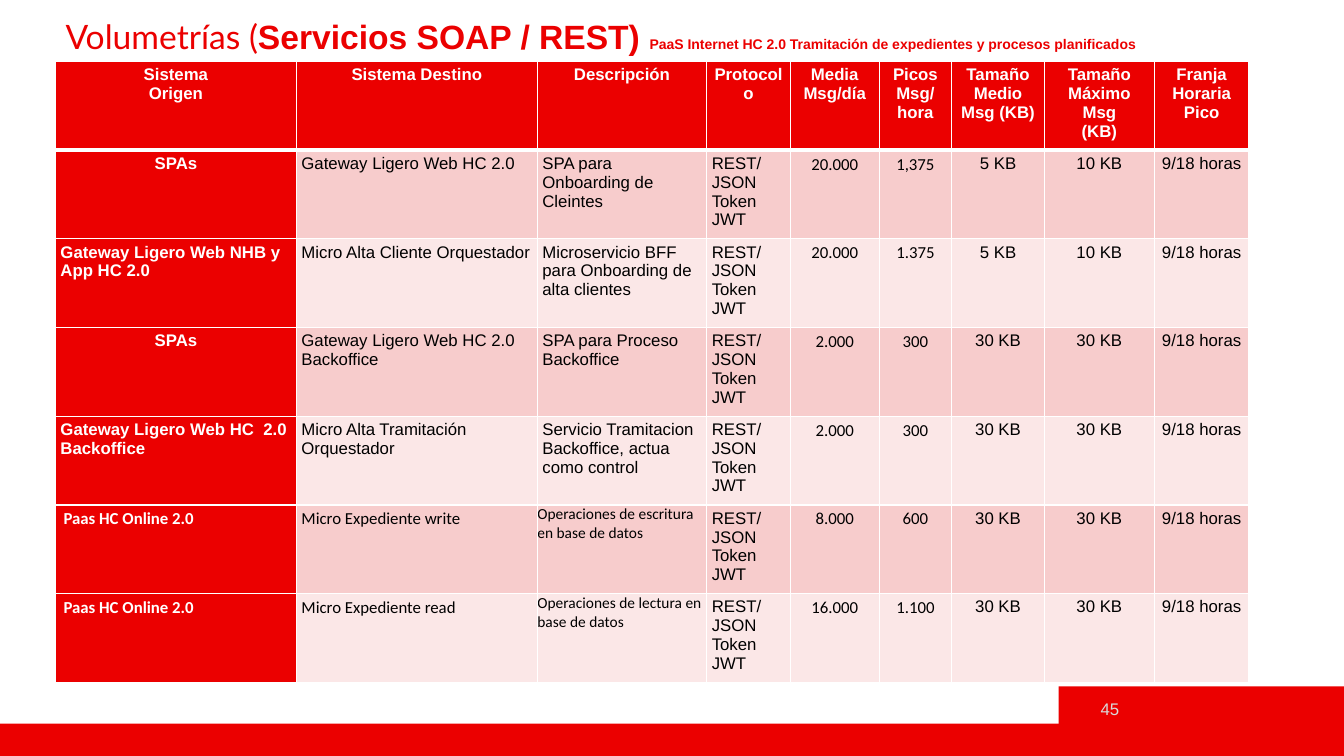
import pptx
import pptx.util
from pptx.dml.color import RGBColor
from pptx.enum.shapes import MSO_SHAPE
from pptx.enum.text import MSO_ANCHOR, MSO_AUTO_SIZE, PP_ALIGN
from pptx.oxml import parse_xml
from pptx.oxml.ns import nsdecls
from pptx.util import Inches

THEME = {
    "red": "EB0000", "white": "FFFFFF", "black": "000000", "grey": "D9D9D9",
    "bands": ("F7CCCC", "FBE7E7"),
    "title": 24, "subtitle": 10, "body": 12, "small": 11,
    "sans": "Arial", "figures": "Calibri", "heading": "Lato",
}


def style(run, size, face, color, bold=False):
    run.font.size = pptx.util.Pt(size)
    run.font.name = face
    run.font.bold = bold
    run.font.color.rgb = RGBColor.from_string(color)


def add_borders(cell, bottom_width):
    widths = {"lnL": 1, "lnR": 1, "lnT": 1, "lnB": bottom_width}
    for side, width in widths.items():
        cell._tc.get_or_add_tcPr().append(parse_xml(
            f'<a:{side} {nsdecls("a")} w="{width * 12700}"><a:solidFill>'
            f'<a:srgbClr val="{THEME["white"]}"/></a:solidFill></a:{side}>'))


deck = pptx.Presentation()
deck.slide_width, deck.slide_height = Inches(13.33), Inches(7.5)
slide = deck.slides.add_slide(deck.slide_layouts[5])

# Footer bands and page number
for left, top, width, height in ((0, 7.18, 13.33, 0.32), (10.5, 6.81, 2.83, 0.39)):
    band = slide.shapes.add_shape(MSO_SHAPE.RECTANGLE, Inches(left), Inches(top),
                                  Inches(width), Inches(height))
    band.shadow.inherit = False
    band.fill.solid()
    band.fill.fore_color.rgb = RGBColor.from_string(THEME["red"])
    band.line.fill.background()

page_number = slide.shapes.add_textbox(Inches(10.5), Inches(6.83), Inches(0.7), Inches(0.4))
page_number.text_frame.word_wrap = True
page_number.text_frame.vertical_anchor = MSO_ANCHOR.MIDDLE
page_number.text_frame.text = "45"
page_number.text_frame.paragraphs[0].alignment = PP_ALIGN.RIGHT
style(page_number.text_frame.paragraphs[0].runs[0], THEME["body"], THEME["sans"], THEME["grey"])

# Title
title = slide.shapes.title
title.left, title.top = Inches(0.55), Inches(0.15)
title.width, title.height = Inches(11.85), Inches(0.35)
title.text_frame.auto_size = MSO_AUTO_SIZE.NONE
title.text_frame.vertical_anchor = MSO_ANCHOR.TOP
heading = title.text_frame.paragraphs[0]
heading.alignment = PP_ALIGN.LEFT
heading.line_spacing = 0.9
for text, size, face, bold in (
    ("Volumetrías (", THEME["title"], THEME["heading"], False),
    ("Servicios SOAP / REST) ", THEME["title"], THEME["sans"], True),
    ("PaaS Internet HC 2.0 Tramitación de expedientes y procesos planificados",
     THEME["subtitle"], THEME["sans"], True),
):
    part = heading.add_run()
    part.text = text
    style(part, size, face, THEME["red"], bold)

# Volumes: origin, target, description, messages per day, peak per hour, mean and maximum size
headers = ["Sistema\nOrigen", "Sistema Destino", "Descripción", "Protocolo", "Media Msg/día",
           "Picos\nMsg/hora", "Tamaño\nMedio Msg (KB)", "Tamaño Máximo Msg\n(KB)",
           "Franja Horaria Pico"]
services = [
    ("SPAs", "Gateway Ligero Web HC 2.0", "SPA para Onboarding de Cleintes",
     "20.000", "1,375", "5 KB", "10 KB"),
    ("Gateway Ligero Web NHB y App HC 2.0", "Micro Alta Cliente Orquestador",
     "Microservicio BFF para Onboarding de alta clientes", "20.000", "1.375", "5 KB", "10 KB"),
    ("SPAs", "Gateway Ligero Web HC 2.0 Backoffice", "SPA para Proceso Backoffice",
     "2.000", "300", "30 KB", "30 KB"),
    ("Gateway Ligero Web HC  2.0 Backoffice", "Micro Alta Tramitación Orquestador",
     "Servicio Tramitacion Backoffice, actua como control", "2.000", "300", "30 KB", "30 KB"),
    ("Paas HC Online 2.0", "Micro Expediente write",
     "Operaciones de escritura en base de datos", "8.000", "600", "30 KB", "30 KB"),
    ("Paas HC Online 2.0", "Micro Expediente read",
     "Operaciones de lectura en base de datos", "16.000", "1.100", "30 KB", "30 KB"),
]
rows = [headers] + [[*service[:3], "REST/JSON\nToken JWT", *service[3:], "9/18 horas"]
                    for service in services]
column_widths = [2.39, 2.39, 1.68, 0.83, 0.88, 0.72, 0.92, 1.09, 0.94]
row_height = 0.84

# Table
volumes = slide.shapes.add_table(len(rows), len(headers), Inches(0.55), Inches(0.61),
                                 Inches(sum(column_widths)),
                                 Inches(row_height * len(rows))).table
for column, width in zip(volumes.columns, column_widths):
    column.width = Inches(width)

for r, row in enumerate(rows):
    volumes.rows[r].height = Inches(row_height)
    for c, text in enumerate(row):
        cell = volumes.cell(r, c)
        is_header = r == 0
        is_label = is_header or c == 0
        is_database = r >= 5 and c < 3
        is_operation = is_database and c == 2

        add_borders(cell, 3 if is_header else 1)
        cell.fill.solid()
        cell.fill.fore_color.rgb = RGBColor.from_string(
            THEME["red"] if is_label else THEME["bands"][(r - 1) % 2])
        cell.margin_left = cell.margin_right = Inches(0 if is_operation else 0.05)
        cell.margin_top = cell.margin_bottom = Inches(0 if is_operation else 0.04)
        if is_database and c == 0:
            cell.margin_left = Inches(0.08)

        cell.text_frame.text = text
        centered = is_header or c >= 4 or text == "SPAs"
        for paragraph in cell.text_frame.paragraphs:
            paragraph.alignment = PP_ALIGN.CENTER if centered else PP_ALIGN.LEFT
            style(paragraph.runs[0],
                  THEME["small"] if is_operation else THEME["body"],
                  THEME["figures"] if is_database or (r and c in (4, 5)) else THEME["sans"],
                  THEME["white"] if is_label else THEME["black"], is_label)

deck.save("out.pptx")
